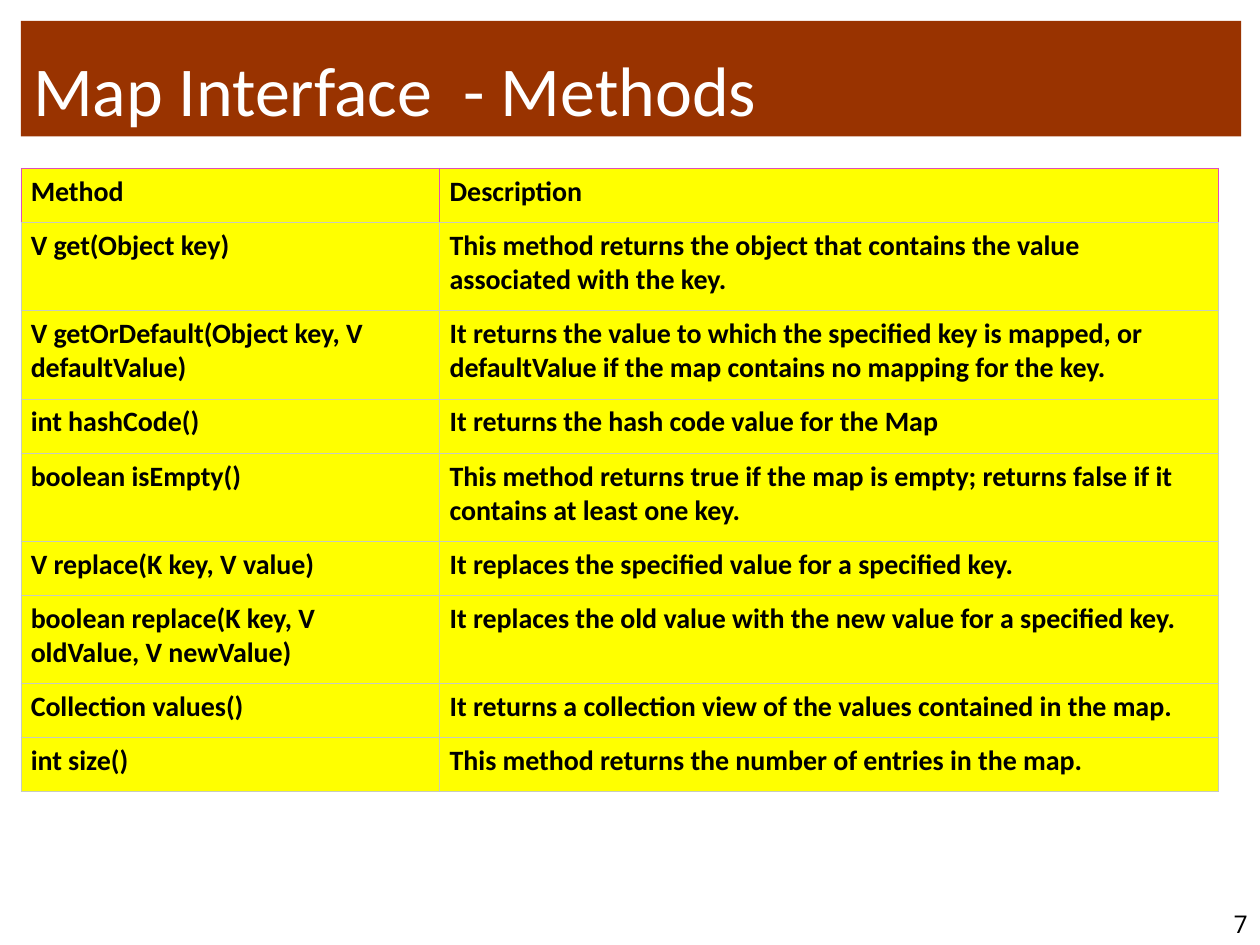
from dataclasses import dataclass

from lxml.etree import SubElement
from pptx import Presentation
from pptx.dml.color import RGBColor
from pptx.enum.shapes import MSO_SHAPE
from pptx.enum.text import MSO_ANCHOR, PP_ALIGN
from pptx.oxml.ns import qn
from pptx.util import Cm, Pt


@dataclass(frozen=True)
class Theme:
    band: str = "993300"
    cell: str = "FFFF00"
    ink: str = "000000"
    light: str = "FFFFFF"
    rule: str = "C7CCBE"
    edge: str = "E04EB8"
    face: str = "Calibri"
    num: str = "Roboto"
    head: int = 40
    body: int = 16
    foot: int = 14
    line: float = 0.34


THEME = Theme()
ROWS = [
    ("Method", "Description", 1),
    ("V get(Object key)",
     "This method returns the object that contains the value associated with the key.", 2),
    ("V getOrDefault(Object key, V defaultValue)",
     "It returns the value to which the specified key is mapped, or defaultValue "
     "if the map contains no mapping for the key.", 2),
    ("int hashCode()", "It returns the hash code value for the Map", 1),
    ("boolean isEmpty()",
     "This method returns true if the map is empty; returns false if it contains "
     "at least one key.", 2),
    ("V replace(K key, V value)", "It replaces the specified value for a specified key.", 1),
    ("boolean replace(K key, V oldValue, V newValue)",
     "It replaces the old value with the new value for a specified key.", 2),
    ("Collection values()",
     "It returns a collection view of the values contained in the map.", 1),
    ("int size()", "This method returns the number of entries in the map.", 1),
]
HEIGHTS = {1: Cm(1.09), 2: Cm(1.78)}


def add_run(para, text, size, color, face=THEME.face, bold=False):
    run = para.add_run()
    run.text = text
    run.font.name = face
    run.font.size = Pt(size)
    run.font.bold = bold
    run.font.color.rgb = RGBColor.from_string(color)


def add_edge(cell, side, color):
    line = SubElement(cell._tc.get_or_add_tcPr(), qn(f"a:ln{side}"), w=str(Pt(THEME.line)))
    fill = SubElement(line, qn("a:solidFill"))
    SubElement(fill, qn("a:srgbClr"), val=color)


def add_title(slide, box, text):
    band = slide.shapes.add_shape(MSO_SHAPE.RECTANGLE, *box)
    band.shadow.inherit = False
    band.fill.solid()
    band.fill.fore_color.rgb = RGBColor.from_string(THEME.band)
    band.line.fill.background()
    frame = band.text_frame
    frame.word_wrap = True
    frame.vertical_anchor = MSO_ANCHOR.BOTTOM
    para = frame.paragraphs[0]
    para.alignment = PP_ALIGN.LEFT
    add_run(para, text, THEME.head, THEME.light)


def fill_cell(cell, text, top):
    for side in "LRTB":
        add_edge(cell, side, THEME.edge if top and side != "B" else THEME.rule)
    cell.fill.solid()
    cell.fill.fore_color.rgb = RGBColor.from_string(THEME.cell)
    cell.margin_left = cell.margin_right = Cm(0.2)
    cell.margin_top = cell.margin_bottom = Cm(0.13)
    add_run(cell.text_frame.paragraphs[0], text, THEME.body, THEME.ink, bold=True)


def add_grid(slide, box, rows):
    table = slide.shapes.add_table(len(rows), 2, *box).table
    first = int(box[2] * 0.35)
    table.columns[0].width = first
    table.columns[1].width = box[2] - first
    for i, (*texts, lines) in enumerate(rows):
        table.rows[i].height = HEIGHTS[lines]
        for j, text in enumerate(texts):
            fill_cell(table.cell(i, j), text, i == 0)


def add_number(slide, box, text):
    frame = slide.shapes.add_textbox(*box).text_frame
    frame.word_wrap = True
    frame.vertical_anchor = MSO_ANCHOR.BOTTOM
    para = frame.paragraphs[0]
    para.alignment = PP_ALIGN.RIGHT
    add_run(para, text, THEME.foot, THEME.ink, THEME.num)


def main():
    deck = Presentation()
    deck.slide_width, deck.slide_height = Cm(25.4), Cm(19.05)
    slide = deck.slides.add_slide(deck.slide_layouts[6])
    left = Cm(0.42)
    add_title(slide, (left, Cm(0.42), Cm(24.6), Cm(2.33)), "Map Interface  - Methods")
    tall = sum(HEIGHTS[row[2]] for row in ROWS)
    add_grid(slide, (left, Cm(3.39), Cm(24.13), tall), ROWS)
    wide, high = Cm(3.81), Cm(1.27)
    add_number(slide, (deck.slide_width - wide, deck.slide_height - high, wide, high), "7")
    deck.save("out.pptx")


if __name__ == "__main__":
    main()
